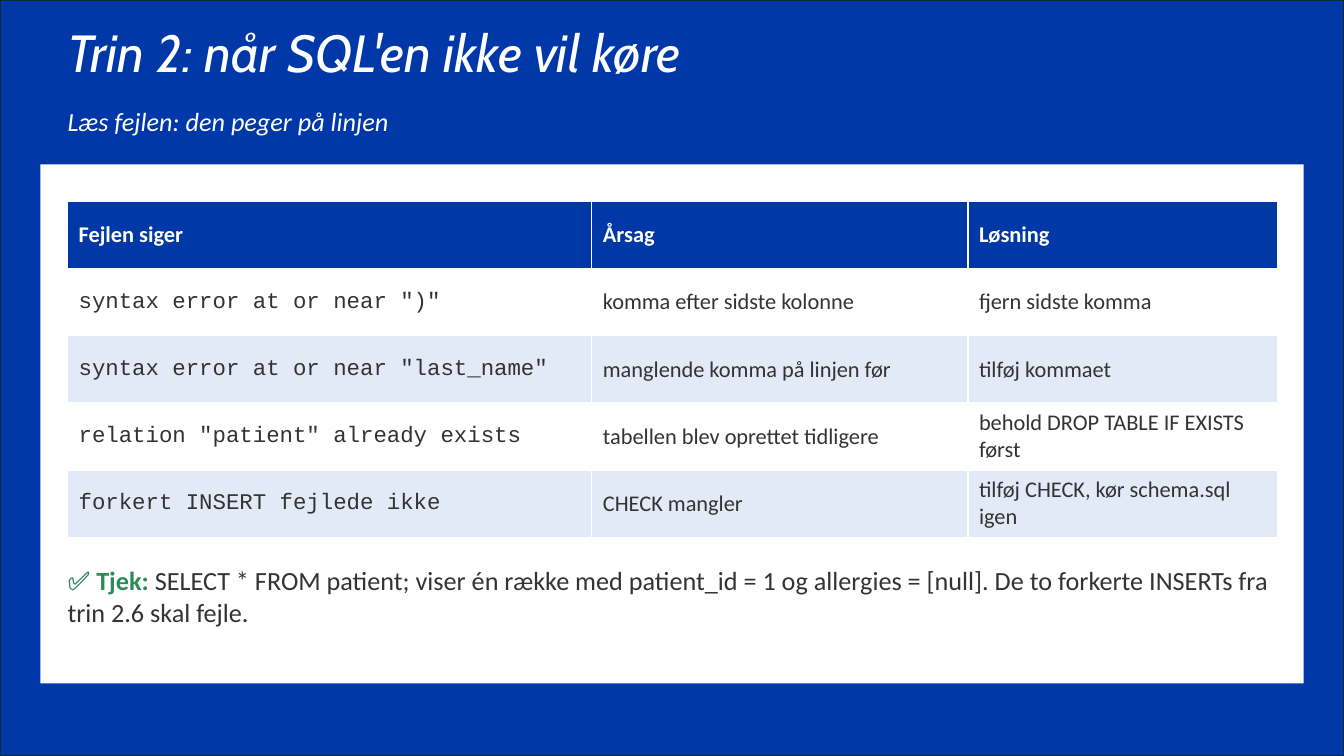
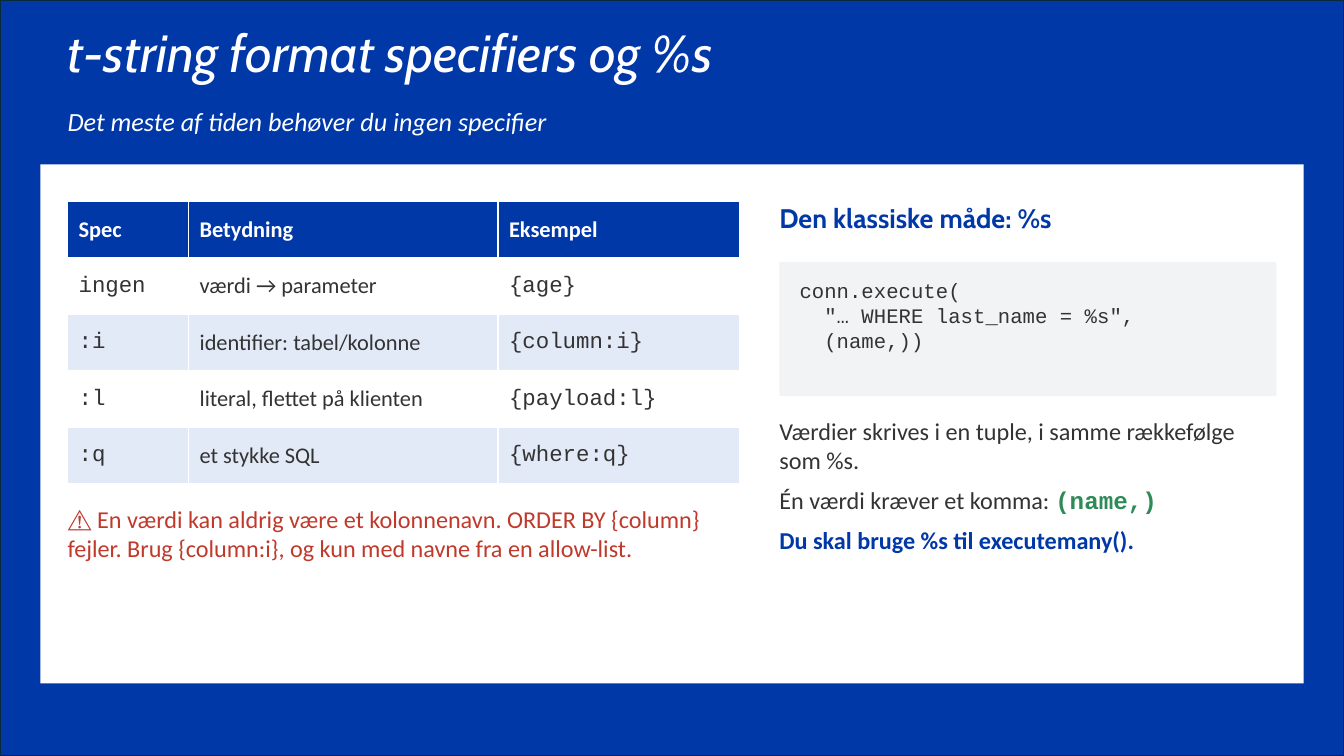
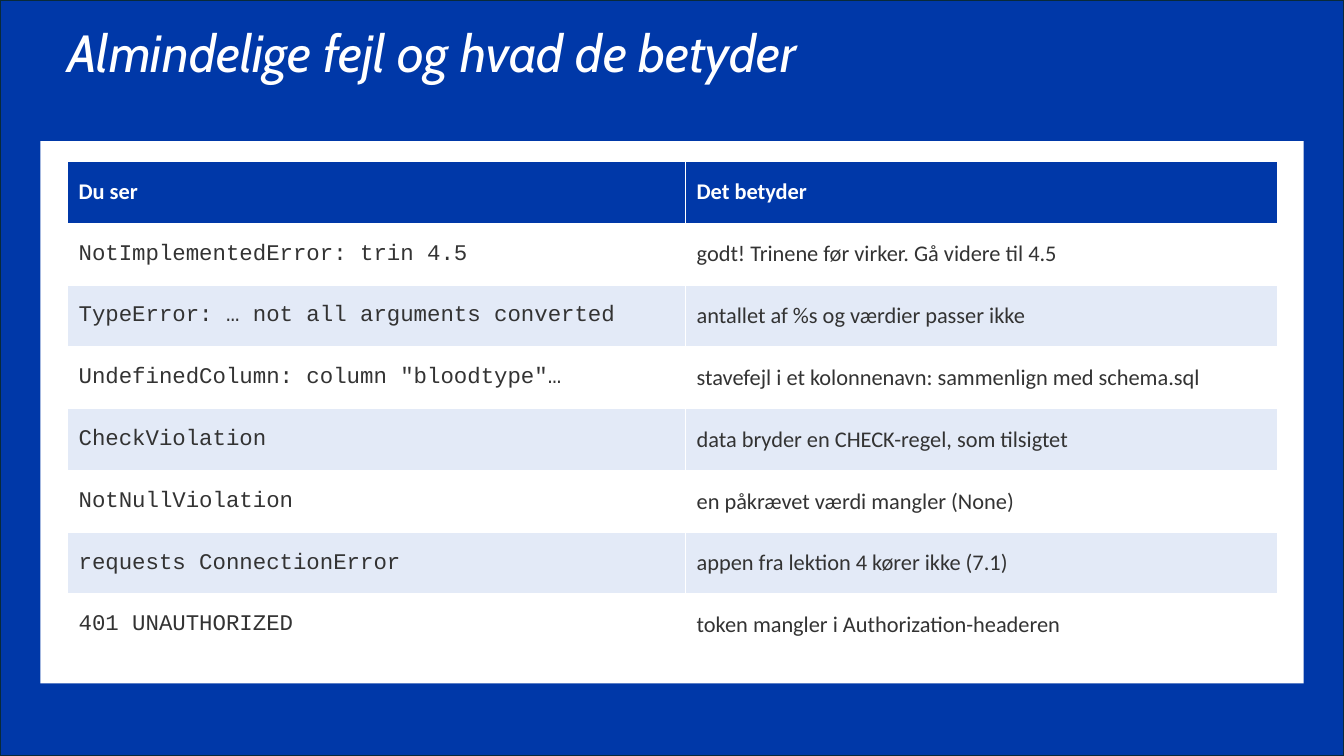
"""Build three slides on SQL and Python errors: framed panels, tables and notes."""
from dataclasses import dataclass
from typing import NamedTuple

from pptx import Presentation
from pptx.dml.color import RGBColor
from pptx.enum.shapes import MSO_SHAPE
from pptx.enum.text import MSO_ANCHOR
from pptx.slide import Slide
from pptx.text.text import _Run
from pptx.util import Inches, Pt

BLUE = RGBColor(0x00, 0x38, 0xA8)
EDGE = RGBColor(0x09, 0x2A, 0x39)
WHITE = RGBColor(0xFF, 0xFF, 0xFF)
BAND = RGBColor(0xE3, 0xEA, 0xF7)
GREY = RGBColor(0xF2, 0xF3, 0xF4)
INK = RGBColor(0x33, 0x33, 0x33)
GREEN = RGBColor(0x2E, 0x8B, 0x57)
RED = RGBColor(0xC0, 0x39, 0x2B)

HEAD, BODY, CODE = "Cabin", "Calibri", "Courier New"
WIDTH, HEIGHT = 13.33, 7.5
LEFT, RIGHT_COL = 0.67, 7.73
FULL, RIGHT_WIDTH = 12, 4.93
PANEL_BOTTOM = 6.78
CELL_MARGINS = {"margin_left": 0.11, "margin_right": 0.11, "margin_top": 0.04, "margin_bottom": 0.04}
NO_MARGINS = dict.fromkeys(CELL_MARGINS, 0)


class Box(NamedTuple):
    left: float
    top: float
    width: float
    height: float

    def lengths(self) -> list[Inches]:
        return [Inches(v) for v in self]


class Span(NamedTuple):
    text: str
    color: RGBColor = INK
    name: str = BODY
    bold: bool = False
    italic: bool = False


@dataclass
class Grid:
    box: Box
    cols: list[float]
    rows: list[list[str]]
    code_cols: tuple[int, ...] = (0,)


@dataclass
class Note:
    box: Box
    size: float
    paras: list[list[Span]]
    after: float = 0
    spacing: float = 1.0


@dataclass
class Page:
    title: str
    panel_top: float
    grid: Grid
    notes: list[Note]
    subtitle: str = ""
    code_panel: Box | None = None


def style_run(r: _Run, span: Span, size: float) -> None:
    r.text = span.text
    fmt = {"name": span.name, "size": Pt(size), "bold": span.bold, "italic": span.italic}
    for key, value in fmt.items():
        setattr(r.font, key, value)
    r.font.color.rgb = span.color


def add_rect(s: Slide, box: Box, fill: RGBColor, line: RGBColor | None = None) -> None:
    sp = s.shapes.add_shape(MSO_SHAPE.RECTANGLE, *box.lengths())
    sp.shadow.inherit = False
    sp.fill.solid()
    sp.fill.fore_color.rgb = fill
    if line is None:
        sp.line.fill.background()
    else:
        sp.line.color.rgb = line
        sp.line.width = Pt(1.5)


def add_note(s: Slide, note: Note) -> None:
    tf = s.shapes.add_textbox(*note.box.lengths()).text_frame
    for key, value in {"word_wrap": True, **NO_MARGINS}.items():
        setattr(tf, key, value)
    for i, spans in enumerate(note.paras):
        p = tf.add_paragraph() if i else tf.paragraphs[0]
        p.space_after = Pt(note.after)
        p.line_spacing = note.spacing
        for span in spans:
            style_run(p.add_run(), span, note.size)


def add_grid(s: Slide, grid: Grid) -> None:
    table = s.shapes.add_table(len(grid.rows), len(grid.cols), *grid.box.lengths()).table
    for col, width in zip(table.columns, grid.cols):
        col.width = Inches(width)
    for i, texts in enumerate(grid.rows):
        table.rows[i].height = Inches(grid.box.height / len(grid.rows))
        for j, text in enumerate(texts):
            cell = table.cell(i, j)
            for key, value in CELL_MARGINS.items():
                setattr(cell, key, Inches(value))
            cell.vertical_anchor = MSO_ANCHOR.MIDDLE
            cell.fill.solid()
            if i == 0:
                cell.fill.fore_color.rgb = BLUE
                span = Span(text, WHITE, bold=True)
            else:
                cell.fill.fore_color.rgb = WHITE if i % 2 else BAND
                span = Span(text, name=CODE if j in grid.code_cols else BODY)
            style_run(cell.text_frame.paragraphs[0].add_run(), span, 16)


def add_page(prs: Presentation, page: Page) -> None:
    s = prs.slides.add_slide(prs.slide_layouts[6])
    add_rect(s, Box(0, 0, WIDTH, HEIGHT), BLUE, EDGE)
    add_note(s, Note(Box(LEFT, 0.27, FULL, 0.73), 37.3,
                     [[Span(page.title, WHITE, HEAD, italic=True)]], spacing=0.9))
    add_rect(s, Box(0.4, page.panel_top, 12.53, PANEL_BOTTOM - page.panel_top), WHITE)
    if page.subtitle:
        add_note(s, Note(Box(LEFT, 1.04, FULL, 0.47), 18.7,
                         [[Span(page.subtitle, WHITE, italic=True)]]))
    add_grid(s, page.grid)
    if page.code_panel:
        add_rect(s, page.code_panel, GREY)
    for note in page.notes:
        add_note(s, note)


PAGES = [
    Page(
        "Trin 2: når SQL'en ikke vil køre",
        1.63,
        Grid(Box(LEFT, 2, FULL, 3.33), [5.2, 3.73, 3.07], [
            ["Fejlen siger", "Årsag", "Løsning"],
            ['syntax error at or near ")"', "komma efter sidste kolonne", "fjern sidste komma"],
            ['syntax error at or near "last_name"', "manglende komma på linjen før", "tilføj kommaet"],
            ['relation "patient" already exists', "tabellen blev oprettet tidligere",
             "behold DROP TABLE IF EXISTS først"],
            ["forkert INSERT fejlede ikke", "CHECK mangler", "tilføj CHECK, kør schema.sql igen"],
        ]),
        [Note(Box(LEFT, 5.6, FULL, 1.07), 18.7, [[
            Span("✅ Tjek: ", GREEN, bold=True),
            Span("SELECT * FROM patient; viser én række med patient_id = 1 og allergies = [null]. "
                 "De to forkerte INSERTs fra trin 2.6 skal fejle."),
        ]])],
        subtitle="Læs fejlen: den peger på linjen",
    ),
    Page(
        "t-string format specifiers og %s",
        1.63,
        Grid(Box(LEFT, 2, 6.67, 2.8), [1.2, 3.07, 2.4], [
            ["Spec", "Betydning", "Eksempel"],
            ["ingen", "værdi → parameter", "{age}"],
            [":i", "identifier: tabel/kolonne", "{column:i}"],
            [":l", "literal, flettet på klienten", "{payload:l}"],
            [":q", "et stykke SQL", "{where:q}"],
        ], code_cols=(0, 2)),
        [
            Note(Box(LEFT, 5, 6.67, 1.73), 17.3, [[
                Span("⚠️ En værdi kan aldrig være et kolonnenavn. ORDER BY {column} fejler. "
                     "Brug {column:i}, og kun med navne fra en allow-list.", RED),
            ]]),
            Note(Box(RIGHT_COL, 2, RIGHT_WIDTH, 0.53), 19.2,
                 [[Span("Den klassiske måde: %s", BLUE, HEAD, bold=True)]]),
            Note(Box(RIGHT_COL + 0.2, 2.76, RIGHT_WIDTH - 0.4, 1.07), 14.7, [
                [Span(line, name=CODE)]
                for line in ("conn.execute(", '  "… WHERE last_name = %s",', "  (name,))")
            ]),
            Note(Box(RIGHT_COL, 4.13, RIGHT_WIDTH, 2.53), 17.3, [
                [Span("Værdier skrives i en tuple, i samme rækkefølge som %s.")],
                [Span("Én værdi kræver et komma: "), Span("(name,)", GREEN, CODE, bold=True)],
                [Span("Du skal bruge %s til executemany().", BLUE, bold=True)],
            ], after=8),
        ],
        subtitle="Det meste af tiden behøver du ingen specifier",
        code_panel=Box(RIGHT_COL, 2.6, RIGHT_WIDTH, 1.33),
    ),
    Page(
        "Almindelige fejl og hvad de betyder",
        1.4,
        Grid(Box(LEFT, 1.6, FULL, 4.91), [6.13, 5.87], [
            ["Du ser", "Det betyder"],
            ["NotImplementedError: trin 4.5", "godt! Trinene før virker. Gå videre til 4.5"],
            ["TypeError: … not all arguments converted", "antallet af %s og værdier passer ikke"],
            ['UndefinedColumn: column "bloodtype"…',
             "stavefejl i et kolonnenavn: sammenlign med schema.sql"],
            ["CheckViolation", "data bryder en CHECK-regel, som tilsigtet"],
            ["NotNullViolation", "en påkrævet værdi mangler (None)"],
            ["requests ConnectionError", "appen fra lektion 4 kører ikke (7.1)"],
            ["401 UNAUTHORIZED", "token mangler i Authorization-headeren"],
        ]),
        [],
    ),
]


def main() -> None:
    prs = Presentation()
    prs.slide_width, prs.slide_height = Inches(WIDTH), Inches(HEIGHT)
    for page in PAGES:
        add_page(prs, page)
    prs.save("out.pptx")


if __name__ == "__main__":
    main()
